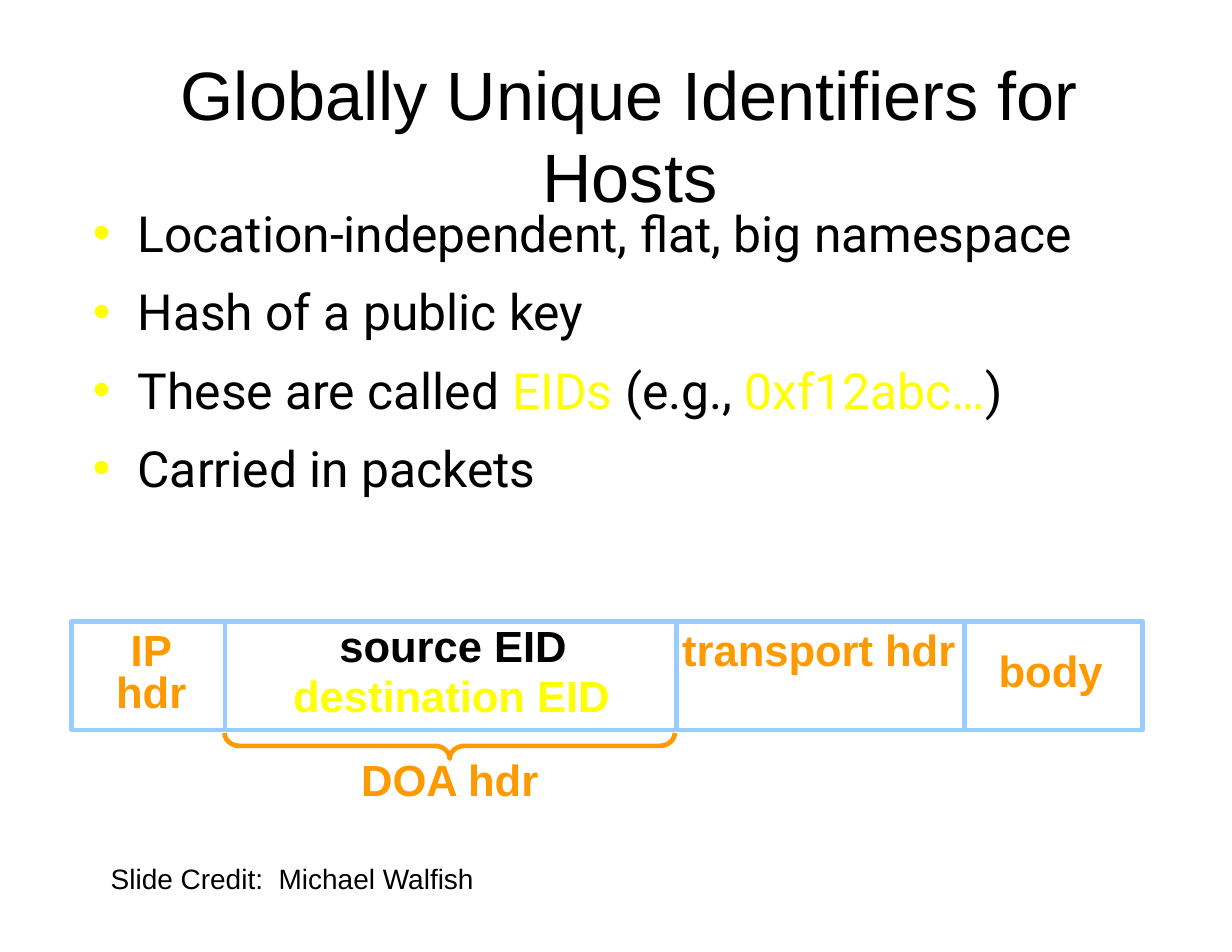
from lxml.etree import SubElement
from pptx import Presentation
from pptx.dml.color import RGBColor
from pptx.enum.shapes import MSO_CONNECTOR as Connector, MSO_SHAPE as Shape
from pptx.enum.text import MSO_ANCHOR as Anchor, PP_ALIGN as Align
from pptx.oxml.ns import qn
from pptx.util import Inches, Pt

THEME = {
    "black": RGBColor(0, 0, 0),
    "yellow": RGBColor(0xFF, 0xFF, 0),
    "orange": RGBColor(0xFF, 0x99, 0),
    "blue": RGBColor(0x99, 0xCC, 0xFF),
    "heading_font": "Arial", "body_font": "Roboto",
    "title": 44, "body": 32, "label": 28, "credit": 18, "line": 3,
}

# Content
TITLE = "Globally Unique Identifiers for Hosts"
BULLETS = [
    [("Location-independent, flat, big namespace", "black")],
    [("Hash of a public key", "black")],
    [("These are called ", "black"), ("EIDs", "yellow"), (" (e.g., ", "black"),
     ("0xf12abc…", "yellow"), (")", "black")],
    [("Carried in packets", "black")],
]
CREDIT = "Slide Credit:  Michael Walfish"
PACKET = (0.64, 5.55, 9.56, 0.97)
DIVIDERS = [2.01, 6.04, 8.61]
# lines, colour, (left, top, width, height)
LABELS = [
    (["IP", "hdr"], "orange", (0.94, 5.6, 0.82, 0.72)),
    (["source EID"], "black", (2.93, 5.57, 2.23, 0.41)),
    (["destination EID"], "yellow", (2.52, 6.01, 3.02, 0.41)),
    (["transport hdr"], "orange", (5.99, 5.6, 2.64, 0.41)),
    (["DOA hdr"], "orange", (3.12, 6.76, 1.79, 0.41)),
]
BODY_LABEL = (["body"], "orange", (8.62, 5.51, 1.52, 0.94))


def style(font, size, color, face="heading_font", bold=False):
    font.name = THEME[face]
    font.size = Pt(THEME[size])
    font.bold = bold
    font.color.rgb = THEME[color]


def add_box(page, place, wrap=True, anchor=Anchor.TOP):
    frame = page.shapes.add_textbox(*map(Inches, place)).text_frame
    frame.word_wrap = wrap
    frame.vertical_anchor = anchor
    if not wrap:  # one-line labels use the full box width
        frame.margin_left = frame.margin_right = 0
    return frame


def add_text(page, lines, color, place, size="label", bold=True, wrap=False,
             align=Align.CENTER, anchor=Anchor.TOP, spacing=None):
    frame = add_box(page, place, wrap, anchor)
    frame.text = "\n".join(lines)
    for para in frame.paragraphs:
        para.alignment = align
        para.line_spacing = spacing
        style(para.runs[0].font, size, color, bold=bold)


def add_bullet(para, color):
    props = para._p.get_or_add_pPr()
    props.set("marL", str(Inches(0.4)))
    props.set("indent", str(-Inches(0.4)))
    bullet_color = SubElement(props, qn("a:buClr"))
    SubElement(bullet_color, qn("a:srgbClr")).set("val", str(THEME[color]))
    SubElement(props, qn("a:buFont")).set("typeface", THEME["heading_font"])
    SubElement(props, qn("a:buChar")).set("char", "•")


def set_line(shape, color):
    shape.line.color.rgb = THEME[color]
    shape.line.width = Pt(THEME["line"])


def add_outline(page, kind, place, color):
    shape = page.shapes.add_shape(kind, *map(Inches, place))
    shape.shadow.inherit = False
    shape.fill.background()
    set_line(shape, color)
    return shape


def main():
    deck = Presentation()
    deck.slide_width, deck.slide_height = Inches(11), Inches(8.5)
    page = deck.slides.add_slide(deck.slide_layouts[6])

    # Title and bullets
    add_text(page, [TITLE], "black", (0.85, 0.39, 9.55, 1.61), "title",
             bold=False, wrap=True, anchor=Anchor.MIDDLE)
    frame = add_box(page, (0.73, 1.76, 9.62, 1.19))
    for index, parts in enumerate(BULLETS):
        para = frame.add_paragraph() if index else frame.paragraphs[0]
        add_bullet(para, "yellow")
        if index:
            para.space_before = Pt(12)
        for text, color in parts:
            span = para.add_run()
            span.text = text
            style(span.font, "body", color, "body_font")

    # Packet frame and its field dividers
    add_outline(page, Shape.RECTANGLE, PACKET, "blue")
    top, bottom = Inches(PACKET[1]), Inches(PACKET[1] + PACKET[3])
    for x in map(Inches, DIVIDERS):
        divider = page.shapes.add_connector(Connector.STRAIGHT, x, top, x, bottom)
        set_line(divider, "blue")
        SubElement(divider._element.spPr, qn("a:effectLst"))

    # Field labels
    for lines, color, place in LABELS:
        add_text(page, lines, color, place, spacing=0.8)
    add_text(page, *BODY_LABEL, anchor=Anchor.MIDDLE)

    # Brace under the DOA header, turned to point down
    brace = add_outline(page, Shape.RIGHT_BRACE, (3.9, 4.65, 0.23, 4.02), "orange")
    brace.rotation = 90
    brace.adjustments[0] = 0.58

    # Credit
    add_text(page, [CREDIT], "black", (0.89, 7.64, 3.5, 0.41), "credit",
             bold=False, wrap=True, align=Align.LEFT)

    deck.save("out.pptx")


if __name__ == "__main__":
    main()
